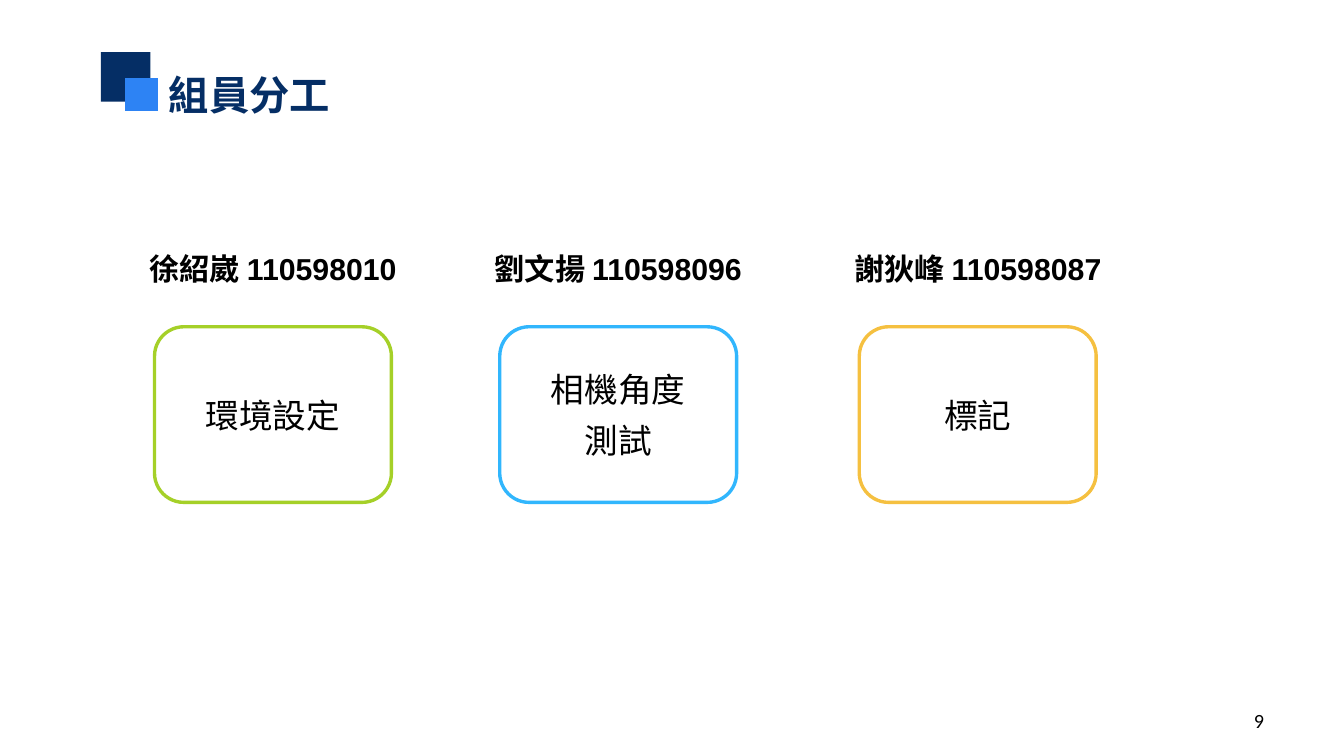
from pptx import Presentation
from pptx.dml.color import RGBColor
from pptx.enum.shapes import MSO_SHAPE as Shape
from pptx.enum.text import MSO_ANCHOR as Anchor, PP_ALIGN as Align
from pptx.oxml.ns import qn
from pptx.util import Pt
from lxml.etree import SubElement

NAVY, BLUE, BLACK, WHITE = "052E65", "2D83F4", "000000", "FFFFFF"
CJK = "Noto Sans CJK SC"


def color(code):
    return RGBColor.from_string(code)


class Deck:
    def __init__(self, wide, high):
        self.prs = Presentation()
        self.prs.slide_width, self.prs.slide_height = Pt(wide), Pt(high)
        self.slide = self.prs.slides.add_slide(self.prs.slide_layouts[6])

    def style(self, frame, text, size, font, ink=BLACK, bold=False,
              align=Align.LEFT, anchor=Anchor.TOP, gap=0):
        frame.word_wrap = True
        frame.vertical_anchor = anchor
        frame.text = text
        for para in frame.paragraphs:
            para.alignment = align
            para.space_before = Pt(gap)
            for run in para.runs:
                run.font.size, run.font.bold = Pt(size), bold
                run.font.name = font
                run.font.color.rgb = color(ink)
                east = SubElement(run.font._element, qn("a:ea"))
                east.set("typeface", CJK)

    def text(self, box, text, size, font, **look):
        item = self.slide.shapes.add_textbox(*map(Pt, box))
        self.style(item.text_frame, text, size, font, **look)

    def block(self, kind, box, fill, line=None):
        item = self.slide.shapes.add_shape(kind, *map(Pt, box))
        item.shadow.inherit = False
        item.fill.solid()
        item.fill.fore_color.rgb = color(fill)
        if line:
            item.line.color.rgb = color(line)
            item.line.width = Pt(2)
        else:
            item.line.fill.background()
        return item

    def card(self, box, text, line):
        item = self.block(Shape.ROUNDED_RECTANGLE, box, WHITE, line)
        self.style(item.text_frame, text, 20, "Calibri", align=Align.CENTER,
                   anchor=Anchor.MIDDLE, gap=6)


def main():
    deck = Deck(800, 450)
    deck.text((93.5, 38, 385, 36), "組員分工", 24, CJK, ink=NAVY, bold=True)
    deck.block(Shape.RECTANGLE, (60, 31, 29.5, 29.5), NAVY)
    deck.block(Shape.RECTANGLE, (74.5, 46.5, 19.5, 19.5), BLUE)
    deck.text((573, 417, 186.5, 24), "9", 12, "Calibri",
              align=Align.RIGHT, anchor=Anchor.MIDDLE)

    team = [
        (92, "徐紹崴 110598010", "環境設定", "A5D028"),
        (297.5, "劉文揚 110598096", "相機角度\n測試", "31B6FD"),
        (511.5, "謝狄峰 110598087", "標記", "F5C040"),
    ]
    for left, name, task, line in team:
        deck.text((left - 32, 145.5, 205, 29), name, 18, "Arial",
                  bold=True, align=Align.CENTER, gap=6)
        deck.card((left, 194.5, 141, 104.5), task, line)

    deck.prs.save("out.pptx")


if __name__ == "__main__":
    main()
